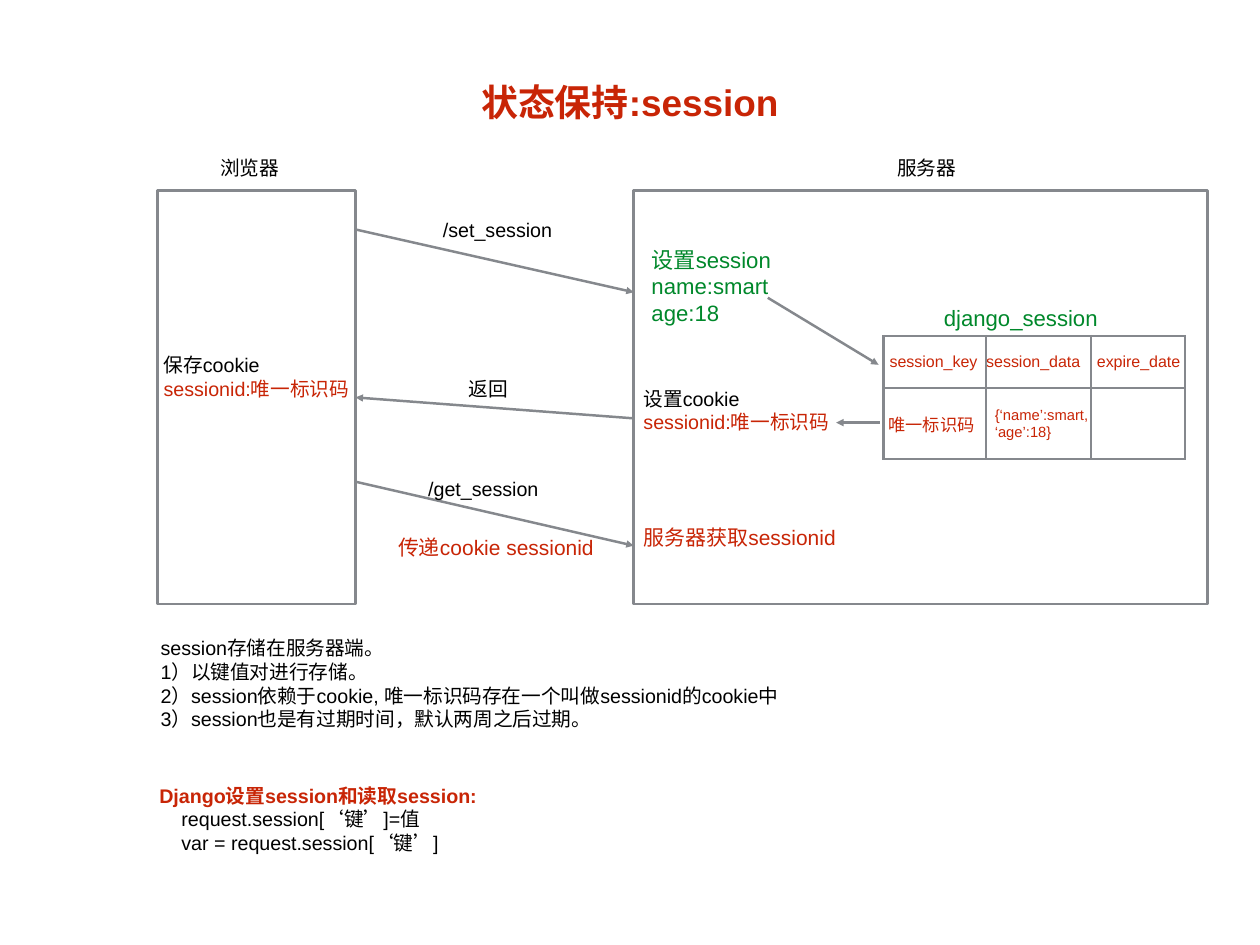
"""Build a slide that explains how a Django session keeps state."""
from lxml.etree import SubElement
from pptx import Presentation
from pptx.dml.color import RGBColor
from pptx.enum.shapes import MSO_CONNECTOR as Link, MSO_SHAPE as Preset
from pptx.enum.text import MSO_ANCHOR as Anchor, MSO_AUTO_SIZE as AutoSize, PP_ALIGN as Align
from pptx.oxml.ns import qn
from pptx.util import Pt

COLORS = {"red": "C82506", "green": "00882B", "black": "000000", "gray": "85888D"}
LINE_WIDTH = 2
INSET = 4

TITLE = ((387, 58, 250.5, 50), 30, [("状态保持:session", "red", True)])
NOTES = ((126.5, 507.5, 517, 96), 16, [
    ("session存储在服务器端。", "black"),
    ("1）以键值对进行存储。", "black"),
    ("2）session依赖于cookie, 唯一标识码存在一个叫做sessionid的cookie中", "black"),
    ("3）session也是有过期时间，默认两周之后过期。", "black"),
])
WRAPPED = [
    ((519, 307.5, 160, 52), 16, [("设置cookie", "black"), ("sessionid:唯一标识码", "red")]),
    ((129, 280, 160, 52), 16, [("保存cookie", "black"), ("sessionid:唯一标识码", "red")]),
    ((319.5, 428.5, 168, 31.5), 17, [("传递cookie sessionid", "red")]),
    ((519, 420.5, 165, 31.5), 17, [("服务器获取sessionid", "red")]),
    ((125.5, 628.5, 272, 74), 16, [
        ("Django设置session和读取session:", "red", True),
        ("request.session[‘键’]=值", "black", False, 18),
        ("var = request.session[‘键’]", "black", False, 18),
    ]),
]
LABELS = [
    ((175, 121.5, 57, 30), 16, [("浏览器", "black")]),
    ((725, 121.5, 57, 30), 16, [("服务器", "black")]),
    ((356, 173, 98, 27.5), 16, [("/set_session", "black")]),
    ((377, 300.5, 41, 30), 16, [("返回", "black")]),
    ((344, 383, 98.5, 27.5), 16, [("/get_session", "black")]),
    ((525.5, 194, 111, 77), 18,
     [("设置session", "green"), ("name:smart", "green"), ("age:18", "green")]),
    ((763, 243.5, 134, 30), 18, [("django_session", "green")]),
]
SIDES = {"browser": (128, 155, 161, 336), "server": (515, 155, 466.5, 336)}
ARROWS = {
    "set": (289, 186.5, 515, 237.5),
    "return": (515, 340, 289, 321),
    "get": (289, 391.5, 515, 443.5),
    "store": (624, 242, 714, 296.5),
    "key": (715, 343.5, 679.5, 343.5),
}
TABLE_ORIGIN = (718, 273)
COLUMN_WIDTHS = (83.5, 85, 76.5)
ROW_HEIGHTS = (42.5, 57.5)
TABLE_ROWS = [
    [(["session_key"], 13, 5), (["session_data"], 13, 0), (["expire_date"], 13, 5)],
    [(["唯一标识码"], 14, 4), (["{‘name’:smart,", "‘age’:18}"], 12, 7), ([], 12, 0)],
]


def color(name):
    return RGBColor.from_string(COLORS[name])


def assign(target, values):
    for name, value in values.items():
        setattr(target, name, value)


def write(frame, size, lines):
    for index, (text, tint, *extra) in enumerate(lines):
        bold, indent = (extra + [False, 0][len(extra):])
        para = frame.paragraphs[0] if index == 0 else frame.add_paragraph()
        properties = para._p.get_or_add_pPr()
        properties.set("marL", str(Pt(indent)))
        properties.set("indent", "0")
        SubElement(properties, qn("a:buNone"))
        assign(para, {"alignment": Align.LEFT, "space_before": Pt(0), "line_spacing": 1.0})
        span = para.add_run()
        span.text = text
        assign(span.font, {"name": "Arial", "size": Pt(size), "bold": bold})
        span.font.color.rgb = color(tint)


def fill_box(box, place, size, lines, wrap=True):
    assign(box, dict(zip(("left", "top", "width", "height"), map(Pt, place))))
    frame = box.text_frame
    assign(frame, {"auto_size": AutoSize.NONE, "word_wrap": wrap,
                   "vertical_anchor": Anchor.MIDDLE})
    for side in ("left", "top", "right", "bottom"):
        setattr(frame, f"margin_{side}", Pt(INSET))
    write(frame, size, lines)


def draw_side(page, place):
    side = page.shapes.add_shape(Preset.RECTANGLE, *map(Pt, place))
    side.shadow.inherit = False
    side.fill.background()
    side.line.color.rgb = color("gray")
    side.line.width = Pt(LINE_WIDTH)
    return side


def draw_arrow(page, ends):
    arrow = page.shapes.add_connector(Link.STRAIGHT, *map(Pt, ends))
    arrow.line.color.rgb = color("gray")
    arrow.line.width = Pt(LINE_WIDTH)
    SubElement(arrow.line._get_or_add_ln(), qn("a:tailEnd"), type="triangle")
    SubElement(arrow._element.spPr, qn("a:effectLst"))
    return arrow


def add_borders(cell):
    properties = cell._tc.get_or_add_tcPr()
    for edge in ("lnL", "lnR", "lnT", "lnB"):
        border = SubElement(properties, qn(f"a:{edge}"), w=str(Pt(LINE_WIDTH)))
        paint = SubElement(border, qn("a:solidFill"))
        SubElement(paint, qn("a:srgbClr"), val=COLORS["gray"])


def draw_table(page):
    size = (sum(COLUMN_WIDTHS), sum(ROW_HEIGHTS))
    table = page.shapes.add_table(
        len(ROW_HEIGHTS), len(COLUMN_WIDTHS), *map(Pt, TABLE_ORIGIN + size)).table
    assign(table, {"first_row": False, "horz_banding": False})
    for column, width in zip(table.columns, COLUMN_WIDTHS):
        column.width = Pt(width)
    for row, height, contents in zip(table.rows, ROW_HEIGHTS, TABLE_ROWS):
        row.height = Pt(height)
        for cell, (lines, font_size, margin) in zip(row.cells, contents):
            add_borders(cell)
            cell.fill.background()
            assign(cell, {"vertical_anchor": Anchor.MIDDLE, "margin_left": Pt(margin),
                          "margin_right": Pt(0)})
            write(cell.text_frame, font_size, [(line, "red") for line in lines])


def main():
    deck = Presentation()
    assign(deck, {"slide_width": Pt(1024), "slide_height": Pt(768)})
    page = deck.slides.add_slide(deck.slide_layouts[1])
    fill_box(page.shapes.title, *TITLE)
    fill_box(page.placeholders[1], *NOTES)
    sides = {name: draw_side(page, place) for name, place in SIDES.items()}
    draw_table(page)
    arrows = {name: draw_arrow(page, ends) for name, ends in ARROWS.items()}
    arrows["return"].end_connect(sides["browser"], 3)
    for boxes, wrap in ((WRAPPED, True), (LABELS, False)):
        for place, size, lines in boxes:
            box = page.shapes.add_textbox(*map(Pt, place))
            fill_box(box, place, size, lines, wrap)
    deck.save("out.pptx")


if __name__ == "__main__":
    main()
